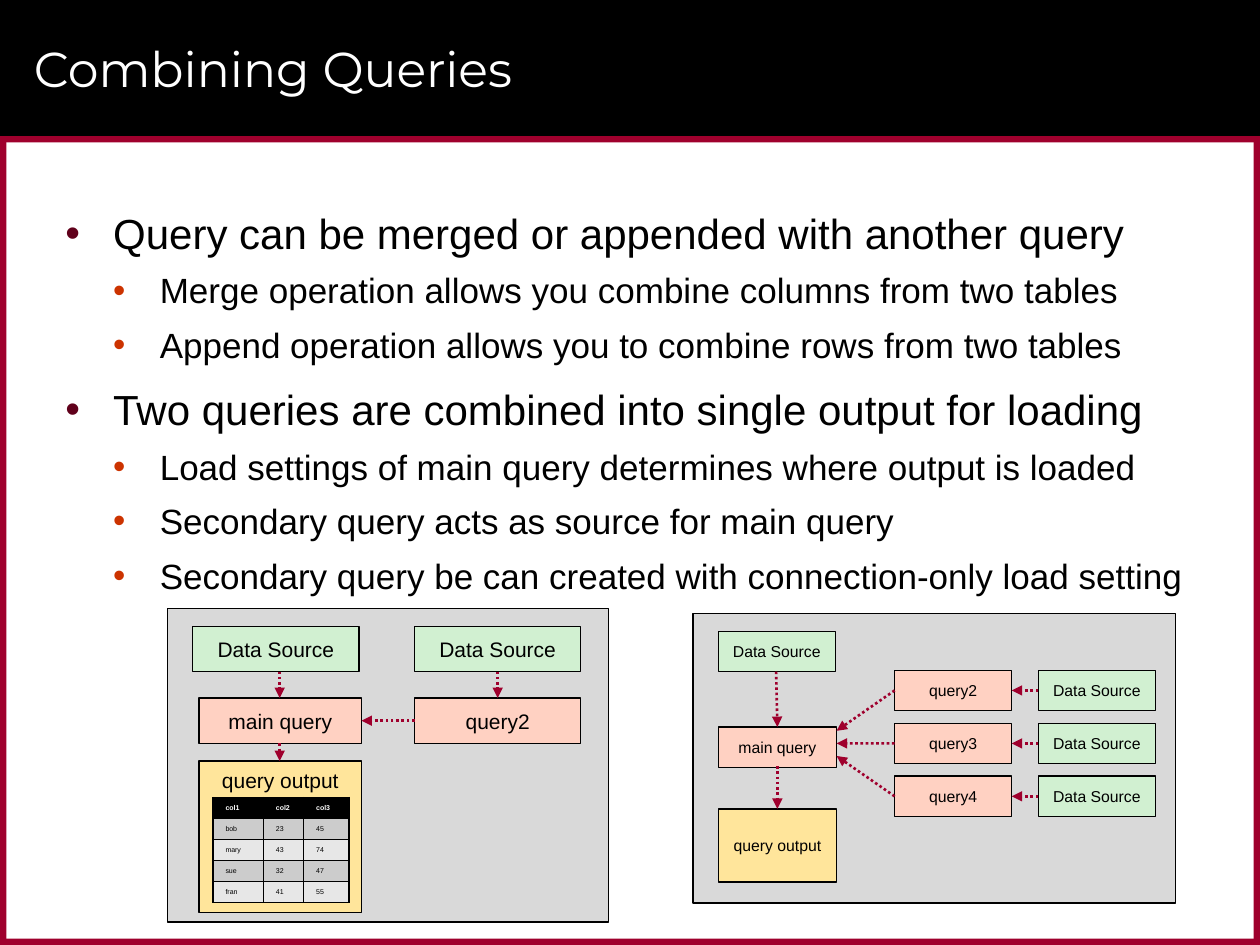
import pptx
import pptx.util
import pptx.dml.color
import pptx.enum.dml
import pptx.enum.shapes
import pptx.enum.text
import pptx.oxml
import pptx.oxml.ns
from lxml import etree

TITLE = "Combining Queries"
BULLETS = [
    (0, "Query can be merged or appended with another query"),
    (1, "Merge operation allows you combine columns from two tables"),
    (1, "Append operation allows you to combine rows from two tables"),
    (0, "Two queries are combined into single output for loading"),
    (1, "Load settings of main query determines where output is loaded"),
    (1, "Secondary query acts as source for main query"),
    (1, "Secondary query be can created with connection-only load setting"),
]
OUTPUT_ROWS = [
    ("col1", "col2", "col3"),
    ("bob", "23", "45"),
    ("mary", "43", "74"),
    ("sue", "32", "47"),
    ("fran", "41", "55"),
]
OUTPUT_FRAME = (1.69, 6.33, 1.08, 0.83)
OUTPUT_COLUMNS = (0.4, 0.32, 0.36)

MERGE_PANEL = (1.33, 4.83, 3.5, 2.49)
MERGE_BOXES = [
    ("query output", "output", (1.58, 6.04, 1.29, 1.2), "TOP"),
    ("main query", "query", (1.58, 5.54, 1.29, 0.36), "MIDDLE"),
    ("query2", "query", (3.29, 5.54, 1.32, 0.36), "MIDDLE"),
    ("Data Source", "source", (1.53, 4.97, 1.32, 0.36), "MIDDLE"),
    ("Data Source", "source", (3.29, 4.97, 1.32, 0.36), "MIDDLE"),
]
MERGE_ARROWS = [
    (2.22, 5.9, 2.22, 6.04),
    (2.22, 5.33, 2.22, 5.54),
    (3.95, 5.33, 3.95, 5.54),
    (3.29, 5.72, 2.87, 5.72),
]

APPEND_PANEL = (5.5, 4.87, 3.83, 2.3)
APPEND_BOXES = [
    ("query output", "output", (5.7, 6.42, 0.94, 0.58), "MIDDLE"),
    ("main query", "query", (5.7, 5.77, 0.94, 0.32), "MIDDLE"),
    ("Data Source", "source", (5.7, 5.01, 0.93, 0.32), "MIDDLE"),
]
APPEND_ARROWS = [(6.17, 6.08, 6.17, 6.42), (6.16, 5.33, 6.17, 5.77)]
APPENDED_QUERIES = ["query2", "query3", "query4"]

THEME = {
    "title_font": "Montserrat", "font": "Arial",
    "white": "FFFFFF", "black": "000000", "accent": "9F002D",
    "panel": "D9D9D9", "output": "FFE59B", "query": "FFD1C2", "source": "D1F0D1",
    "header": "000000", "bands": ("CCCCCC", "E7E7E7"),
    "title_size": 28, "merge_size": 12, "append_size": 9, "table_size": 4,
}
LEVELS = [
    {"size": 24, "indent": 0.38, "hanging": 0.38, "before": 6, "after": 2, "bullet": "60001B"},
    {"size": 20, "indent": 0.75, "hanging": 0.37, "before": 3, "after": 3, "bullet": "CC3300"},
]

Inches = pptx.util.Inches
Pt = pptx.util.Pt
ANCHOR = pptx.enum.text.MSO_ANCHOR


def color(value):
    return pptx.dml.color.RGBColor.from_string(value)


def place(frame):
    return [Inches(length) for length in frame]


def add_run(paragraph, text, size, ink, font=THEME["font"], bold=False):
    run = paragraph.add_run()
    run.text = text
    run.font.size = Pt(size)
    run.font.name = font
    run.font.bold = bold
    run.font.color.rgb = color(ink)


def add_rectangle(slide, frame, fill, line_width=None):
    shape = slide.shapes.add_shape(pptx.enum.shapes.MSO_SHAPE.RECTANGLE, *place(frame))
    shape.shadow.inherit = False
    shape.fill.solid()
    shape.fill.fore_color.rgb = color(fill)
    if line_width:
        shape.line.color.rgb = color(THEME["black"])
        shape.line.width = Pt(line_width)
    else:
        shape.line.fill.background()
    return shape


def add_box(slide, text, kind, frame, anchor, size):
    text_frame = add_rectangle(slide, frame, THEME[kind], 0.75).text_frame
    text_frame.word_wrap = True
    text_frame.margin_left = text_frame.margin_right = 0
    text_frame.vertical_anchor = ANCHOR[anchor]
    paragraph = text_frame.paragraphs[0]
    paragraph.alignment = pptx.enum.text.PP_ALIGN.CENTER
    add_run(paragraph, text, size, THEME["black"])


def add_arrow(slide, ends):
    arrow = slide.shapes.add_connector(pptx.enum.shapes.MSO_CONNECTOR.STRAIGHT, *place(ends))
    arrow.line.color.rgb = color(THEME["accent"])
    arrow.line.width = Pt(1.5)
    arrow.line.dash_style = pptx.enum.dml.MSO_LINE.ROUND_DOT
    properties = arrow.element.spPr
    tail = etree.SubElement(properties.find(pptx.oxml.ns.qn("a:ln")), pptx.oxml.ns.qn("a:tailEnd"))
    tail.set("type", "triangle")
    etree.SubElement(properties, pptx.oxml.ns.qn("a:effectLst"))


def add_diagram(slide, panel, boxes, arrows, size):
    add_rectangle(slide, panel, THEME["panel"], 1)
    for box in boxes:
        add_box(slide, *box, size)
    for ends in arrows:
        add_arrow(slide, ends)


def add_bullets(slide):
    text_frame = slide.shapes.add_textbox(*place((0.42, 1.58, 9.17, 5.67))).text_frame
    text_frame.word_wrap = True
    for index, (depth, text) in enumerate(BULLETS):
        level = LEVELS[depth]
        paragraph = text_frame.add_paragraph() if index else text_frame.paragraphs[0]
        paragraph.level = depth
        paragraph.line_spacing = 1.05
        paragraph.space_before = Pt(level["before"] if index else 0)
        paragraph.space_after = Pt(level["after"])
        properties = paragraph._p.get_or_add_pPr()
        properties.set("marL", str(Inches(level["indent"])))
        properties.set("indent", str(-Inches(level["hanging"])))
        bullet_color = etree.SubElement(properties, pptx.oxml.ns.qn("a:buClr"))
        etree.SubElement(bullet_color, pptx.oxml.ns.qn("a:srgbClr")).set("val", level["bullet"])
        etree.SubElement(properties, pptx.oxml.ns.qn("a:buFont")).set("typeface", THEME["font"])
        etree.SubElement(properties, pptx.oxml.ns.qn("a:buChar")).set("char", "•")
        add_run(paragraph, text, level["size"], THEME["black"])


def add_borders(cell):
    properties = cell._tc.get_or_add_tcPr()
    for position, side in enumerate("LRTB"):
        properties.insert(position, pptx.oxml.parse_xml(
            f'<a:ln{side} {pptx.oxml.ns.nsdecls("a")} w="{Pt(1)}"><a:solidFill>'
            f'<a:srgbClr val="{THEME["black"]}"/></a:solidFill></a:ln{side}>'))


def add_output_table(slide):
    table = slide.shapes.add_table(len(OUTPUT_ROWS), len(OUTPUT_COLUMNS), *place(OUTPUT_FRAME)).table
    for column, width in zip(table.columns, OUTPUT_COLUMNS):
        column.width = Inches(width)
    for row_index, values in enumerate(OUTPUT_ROWS):
        header = row_index == 0
        fill = THEME["header"] if header else THEME["bands"][(row_index - 1) % 2]
        for column_index, value in enumerate(values):
            cell = table.cell(row_index, column_index)
            cell.fill.solid()
            cell.fill.fore_color.rgb = color(fill)
            add_borders(cell)
            ink = THEME["white"] if header else THEME["black"]
            add_run(cell.text_frame.paragraphs[0], value, THEME["table_size"], ink, bold=header)


def main():
    """Build the slide on combining queries and save it."""
    presentation = pptx.Presentation()
    presentation.slide_width, presentation.slide_height = place((10, 7.5))
    slide = presentation.slides.add_slide(presentation.slide_layouts[6])

    add_rectangle(slide, (0, 0, 10, 1.08), THEME["black"])
    for frame in [(0, 1.08, 10, 0.05), (0, 7.45, 10, 0.05), (9.95, 1.08, 0.05, 6.42), (0, 1.08, 0.05, 6.42)]:
        add_rectangle(slide, frame, THEME["accent"])

    title = slide.shapes.add_textbox(*place((0.17, 0.08, 9.42, 0.92))).text_frame
    title.word_wrap = True
    title.vertical_anchor = ANCHOR.MIDDLE
    add_run(title.paragraphs[0], TITLE, THEME["title_size"], THEME["white"], THEME["title_font"])
    add_bullets(slide)

    add_diagram(slide, MERGE_PANEL, MERGE_BOXES, MERGE_ARROWS, THEME["merge_size"])
    add_output_table(slide)

    boxes, arrows = list(APPEND_BOXES), list(APPEND_ARROWS)
    for index, name in enumerate(APPENDED_QUERIES):
        top = 5.32 + 0.42 * index
        middle = top + 0.16
        boxes.append((name, "query", (7.1, top, 0.93, 0.32), "MIDDLE"))
        boxes.append(("Data Source", "source", (8.24, top, 0.93, 0.32), "MIDDLE"))
        arrows.append((8.24, middle, 8.03, middle))
        arrows.append((7.1, middle, 6.64, 5.8 + 0.1 * index))
    add_diagram(slide, APPEND_PANEL, boxes, arrows, THEME["append_size"])

    presentation.save("out.pptx")


if __name__ == "__main__":
    main()
